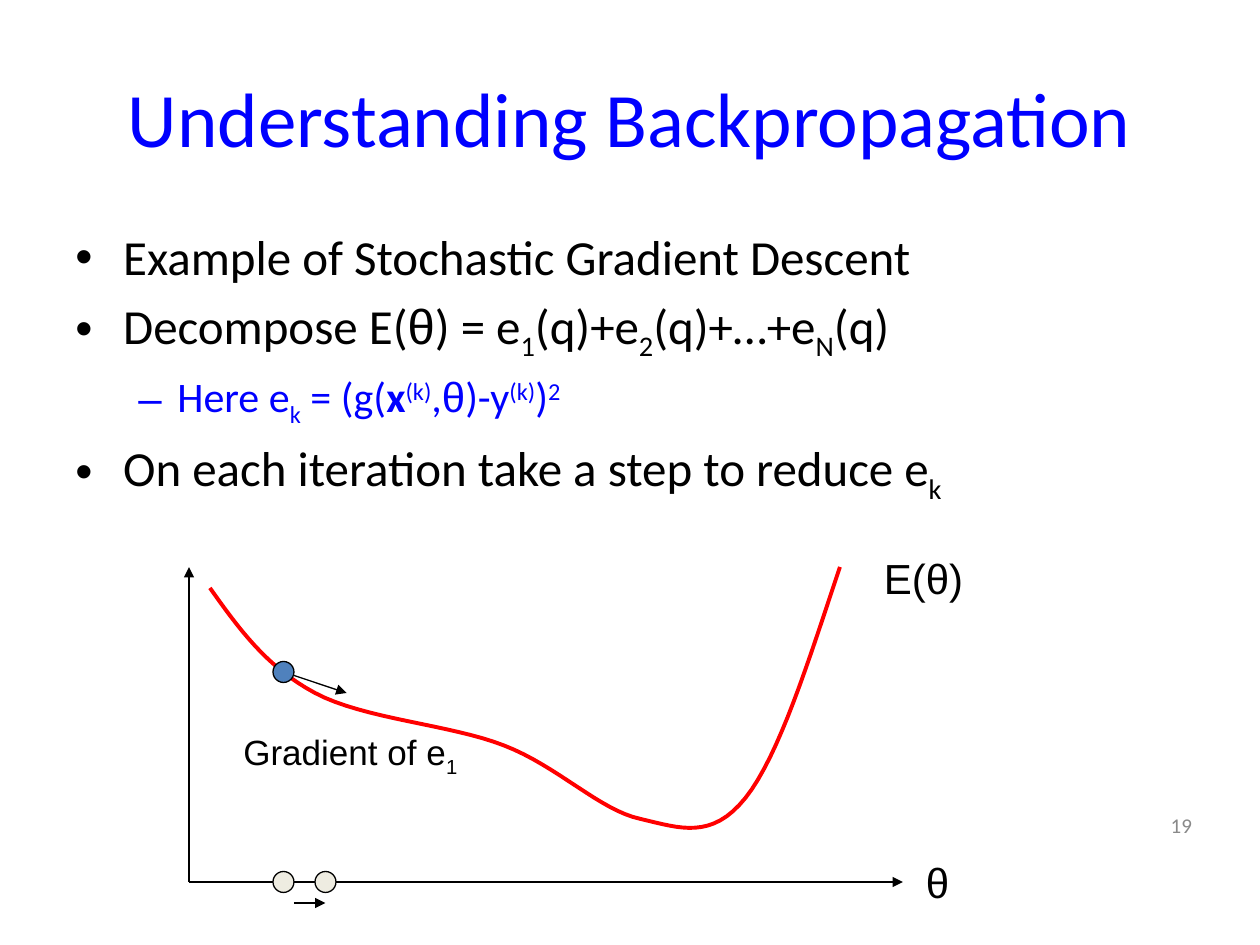
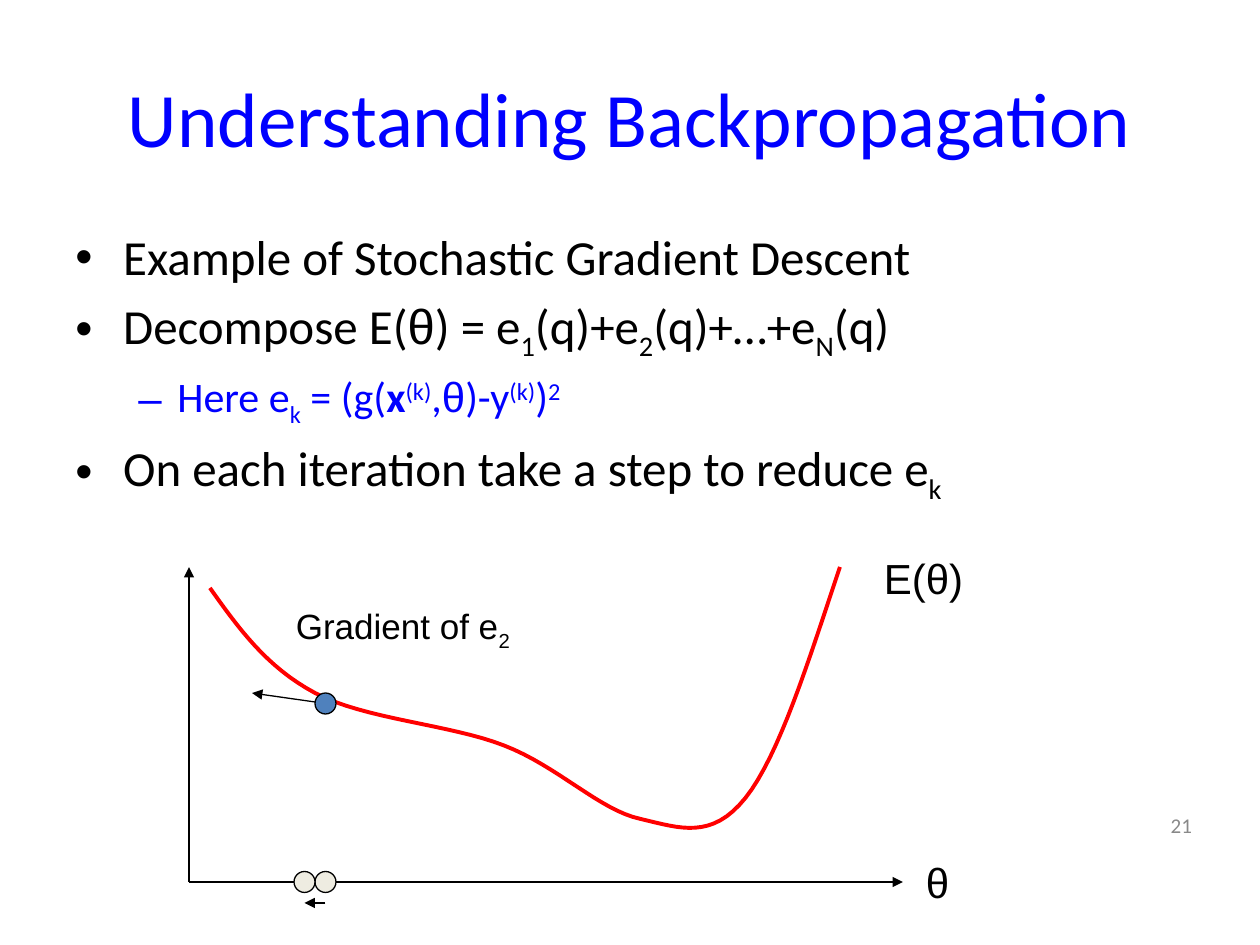
from lxml import etree
from pptx import Presentation
from pptx.dml.color import RGBColor
from pptx.enum import shapes, text
from pptx.oxml import ns
from pptx import util as u

BLACK = RGBColor(0x00, 0x00, 0x00)
BLUE = RGBColor(0x00, 0x00, 0xFF)
RED = RGBColor(0xFF, 0x00, 0x00)
GRAY = RGBColor(0x89, 0x89, 0x89)
CREAM = RGBColor(0xEE, 0xEC, 0xE1)
STEEL = RGBColor(0x4F, 0x81, 0xBD)

BODY_FONT, PLOT_FONT = "Calibri", "Arial"
COLUMNS, ROWS = 120, 90
CELL = u.Inches(10) // COLUMNS
DOT = 2
THIN, THICK = u.Pt(0.75), u.Pt(2.25)

SUB = {"baseline": "-25000"}
SUPER = {"baseline": "30000"}
GREEK = {"font": PLOT_FONT}
BOLD = {"bold": True}

# Bullet level: character, left margin, hanging indent, text size, colour
LEVELS = [("•", 0.38, 0.38, 28, BLACK), ("–", 0.81, 0.31, 24, BLUE)]
BODY = [
    (0, [("Example of Stochastic Gradient Descent", {})]),
    (0, [("Decompose E(", {}), ("θ", GREEK), (") = e", {}), ("1", SUB),
         ("(q)+e", {}), ("2", SUB), ("(q)+…+e", {}), ("N", SUB), ("(q)", {})]),
    (1, [("Here e", {}), ("k", SUB), (" = (g(", {}), ("x", BOLD),
         ("(k)", SUPER), (",", {}), ("θ", GREEK), (")-y", {}),
         ("(k)", SUPER), (")", {}), ("2", SUPER)]),
    (0, [("On each iteration take a step to reduce e", {}), ("k", SUB)]),
]

# Grid points: the start, then two handles and an end for each segment
ERROR_START = (20, 56)
ERROR_SEGMENTS = [
    ((22.67, 59.75), (25.33, 63.5), (30, 66)),
    ((34.67, 68.5), (42.9, 69), (48, 71)),
    ((53.16, 73), (57.1, 77.16), (61, 78)),
    ((64.8, 78.9), (67.8, 80), (71, 76)),
    ((74.2, 72), (77, 63), (80, 54)),
]


def grid(*values):
    return [round(value * CELL) for value in values]


def add_runs(para, runs, size, color, font=BODY_FONT):
    for words, style in runs:
        span = para.add_run()
        span.text = words
        span.font.size = u.Pt(size)
        span.font.name = style.get("font", font)
        span.font.color.rgb = color
        span.font.bold = style.get("bold", False)
        if "baseline" in style:
            span.font._element.set("baseline", style["baseline"])


def add_box(page, left, top, width, height):
    box = page.shapes.add_textbox(*grid(left, top, width, height))
    box.text_frame.word_wrap = True
    return box.text_frame


def add_label(page, runs, left, top, width=13, height=6, size=24):
    frame = add_box(page, left, top, width, height)
    add_runs(frame.paragraphs[0], runs, size, BLACK, PLOT_FONT)


def add_title(page, words):
    title = page.shapes.title
    title.left, title.top, title.width, title.height = grid(6, 3.6, 108, 15)
    frame = title.text_frame
    frame.vertical_anchor = text.MSO_ANCHOR.MIDDLE
    para = frame.paragraphs[0]
    para.alignment = text.PP_ALIGN.CENTER
    add_runs(para, [(words, {})], 44, BLUE)


def add_body(page):
    frame = add_box(page, 6, 21, 108, 59.4)
    for index, (level, runs) in enumerate(BODY):
        mark, margin, hanging, size, color = LEVELS[level]
        para = frame.add_paragraph() if index else frame.paragraphs[0]
        para.level = level
        properties = para._p.get_or_add_pPr()
        properties.set("marL", str(u.Inches(margin)))
        properties.set("indent", str(-u.Inches(hanging)))
        etree.SubElement(properties, ns.qn("a:buFont")).set("typeface", "Arial")
        etree.SubElement(properties, ns.qn("a:buChar")).set("char", mark)
        if index:
            para.space_before = u.Pt(size * 0.2)
        add_runs(para, runs, size, color)


def add_page_number(page, number):
    frame = add_box(page, 106.7, 75.2, 8, 6.8)
    frame.vertical_anchor = text.MSO_ANCHOR.MIDDLE
    para = frame.paragraphs[0]
    para.alignment = text.PP_ALIGN.RIGHT
    add_runs(para, [(str(number), {})], 12, GRAY)


def add_arrow(page, start, end):
    arrow = page.shapes.add_connector(
        shapes.MSO_CONNECTOR.STRAIGHT, *grid(*start, *end))
    arrow.line.color.rgb = BLACK
    arrow.line.width = THIN
    line = arrow.line._get_or_add_ln()
    etree.SubElement(line, ns.qn("a:tailEnd")).set("type", "triangle")
    etree.SubElement(arrow._element.spPr, ns.qn("a:effectLst"))


def add_dot(page, center, color):
    x, y = center
    dot = page.shapes.add_shape(
        shapes.MSO_SHAPE.OVAL, *grid(x - DOT / 2, y - DOT / 2, DOT, DOT))
    dot.shadow.inherit = False
    dot.fill.solid()
    dot.fill.fore_color.rgb = color
    dot.line.color.rgb = BLACK
    dot.line.width = THIN


def curve_points(start, segments, steps=16):
    """Return points along a chain of cubic Bézier segments."""
    points = []
    for first, second, end in segments:
        for step in range(1, steps + 1):
            t = step / steps
            points.append(tuple(
                (1 - t) ** 3 * a + 3 * t * (1 - t) ** 2 * b
                + 3 * t ** 2 * (1 - t) * c + t ** 3 * d
                for a, b, c, d in zip(start, first, second, end)))
        start = end
    return points


def add_error_curve(page):
    builder = page.shapes.build_freeform(*grid(*ERROR_START))
    points = curve_points(ERROR_START, ERROR_SEGMENTS)
    builder.add_line_segments([grid(*point) for point in points], close=False)
    curve = builder.convert_to_shape()
    curve.shadow.inherit = False
    curve.fill.background()
    curve.line.color.rgb = RED
    curve.line.width = THICK


def add_error_plot(page):
    origin = (18, 84)
    add_arrow(page, origin, (86, 84))
    add_arrow(page, origin, (18, 54))
    add_error_curve(page)
    add_label(page, [("E(θ)", {})], 83, 52)
    add_label(page, [("θ", {})], 87, 81)


def add_descent_step(page, term, point, gradient_end, label_at, thetas, step):
    add_arrow(page, point, gradient_end)
    add_dot(page, point, STEEL)
    add_label(page, [("Gradient of e", {}), (term, SUB)], *label_at,
              width=25, height=5.2, size=20)
    for theta in thetas:
        add_dot(page, (theta, 84), CREAM)
    start, end = step
    add_arrow(page, (start, 86), (end, 86))


def add_page(deck, number, **descent):
    page = deck.slides.add_slide(deck.slide_layouts[5])
    add_title(page, "Understanding Backpropagation")
    add_body(page)
    add_page_number(page, number)
    add_error_plot(page)
    add_descent_step(page, **descent)


def main():
    deck = Presentation()
    deck.slide_width, deck.slide_height = grid(COLUMNS, ROWS)
    add_page(deck, 19, term="1", point=(27, 64), gradient_end=(33, 66),
             label_at=(22, 69), thetas=(27, 31), step=(28, 31))
    add_page(deck, 21, term="2", point=(31, 67), gradient_end=(24, 66),
             label_at=(27, 57), thetas=(31, 29), step=(31, 29))
    deck.save("out.pptx")


if __name__ == "__main__":
    main()
